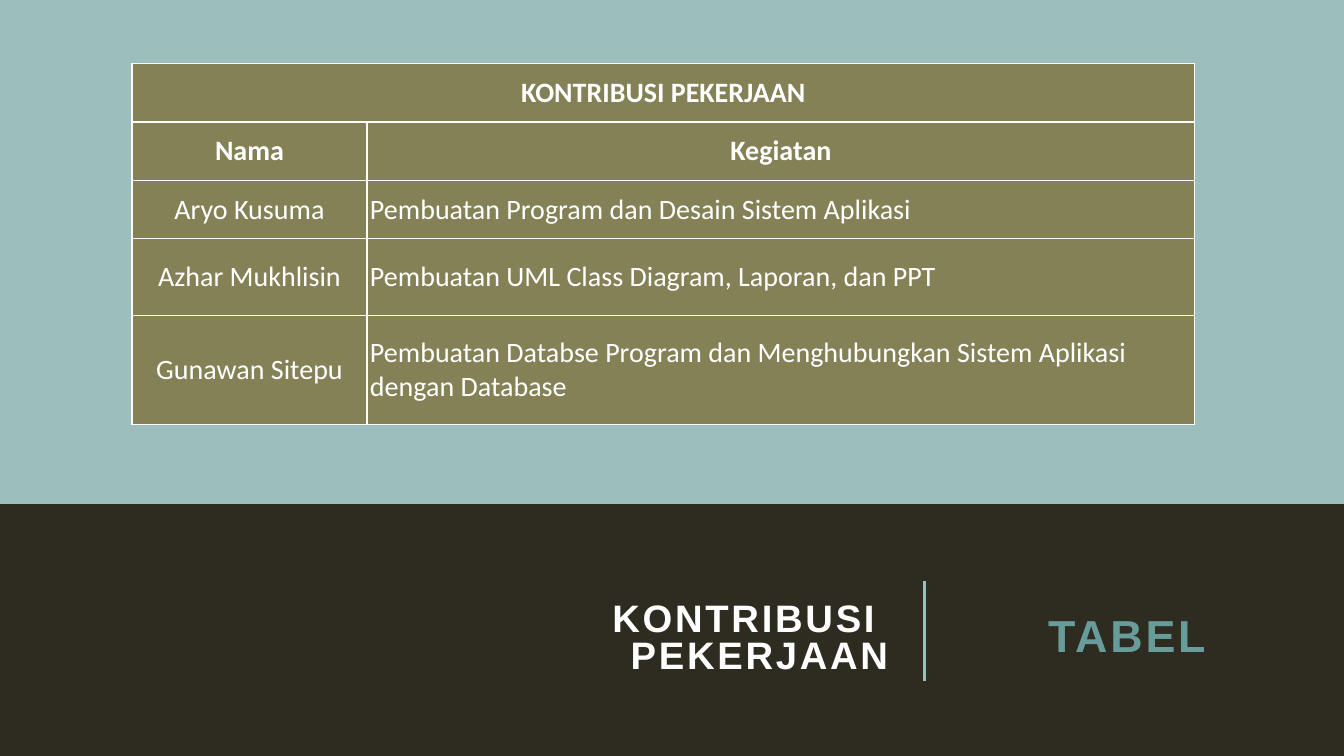
"""Build the slide with the table of work contributions."""
from lxml import etree
from pptx import Presentation
from pptx.dml import color
from pptx.enum import shapes, text
from pptx.oxml import ns
from pptx.util import Inches, Pt

TEAL, DARK, OLIVE, WHITE, DEEP_TEAL = "9CBEBD", "2E2B21", "858157", "FFFFFF", "689C9A"
COLUMN_WIDTHS = [2.33, 8.21]
ROW_HEIGHTS = [0.58, 0.58, 0.58, 0.76, 1.08]
HEADER_ROWS = 2
CONTRIBUTIONS = [
    ["KONTRIBUSI PEKERJAAN", ""],
    ["Nama", "Kegiatan"],
    ["Aryo Kusuma", "Pembuatan Program dan Desain Sistem Aplikasi"],
    ["Azhar Mukhlisin", "Pembuatan UML Class Diagram, Laporan, dan PPT"],
    ["Gunawan Sitepu",
     "Pembuatan Databse Program dan Menghubungkan Sistem Aplikasi dengan Database"],
]


def rgb(value):
    """Return the colour for a hex string."""
    return color.RGBColor.from_string(value)


def paint(fill, value):
    """Make a fill solid in the given colour."""
    fill.solid()
    fill.fore_color.rgb = rgb(value)


def apply(target, formats):
    """Set each format value as an attribute of the target."""
    for name, value in formats.items():
        setattr(target, name, value)


def write(paragraph, wording, hex_color, alignment, formats):
    """Write one formatted run into a paragraph and return the run."""
    paragraph.alignment = alignment
    run = paragraph.add_run()
    run.text = wording
    apply(run.font, formats)
    run.font.color.rgb = rgb(hex_color)
    return run


def add_band(slide):
    """Add the teal band behind the table."""
    band = slide.shapes.add_shape(
        shapes.MSO_SHAPE.RECTANGLE, 0, 0, Inches(13.33), Inches(5))
    band.shadow.inherit = False
    paint(band.fill, TEAL)
    band.line.fill.background()


def add_divider(slide):
    """Add the upright line between the two titles."""
    x = Inches(9.17)
    divider = slide.shapes.add_connector(
        shapes.MSO_CONNECTOR.STRAIGHT, x, Inches(6.76), x, Inches(5.76))
    divider.line.color.rgb = rgb(TEAL)
    divider.line.width = Pt(1.5)
    etree.SubElement(divider._element.spPr, ns.qn("a:effectLst"))


def add_title(slide, box, lines, size, hex_color, bottom=0.05):
    """Add a right-aligned, letter-spaced title."""
    frame = slide.shapes.add_textbox(*map(Inches, box)).text_frame
    apply(frame, {"word_wrap": True, "vertical_anchor": text.MSO_ANCHOR.MIDDLE,
                  "margin_bottom": Inches(bottom)})
    formats = {"name": "Arial", "size": Pt(size), "bold": True}
    for index, line in enumerate(lines):
        paragraph = frame.add_paragraph() if index else frame.paragraphs[0]
        paragraph.line_spacing = 0.8
        run = write(paragraph, line, hex_color, text.PP_ALIGN.RIGHT, formats)
        run._r.get_or_add_rPr().set("spc", "200")


def add_borders(cell):
    """Draw a thin white border on every side of a cell."""
    properties = cell._tc.get_or_add_tcPr()
    for side in ("lnL", "lnR", "lnT", "lnB"):
        line = etree.SubElement(properties, ns.qn(f"a:{side}"), w=str(Pt(1)))
        fill = etree.SubElement(line, ns.qn("a:solidFill"))
        etree.SubElement(fill, ns.qn("a:srgbClr"), val=WHITE)


def format_cell(cell, wording, is_header, is_centred):
    """Fill, border and label one table cell."""
    add_borders(cell)
    paint(cell.fill, OLIVE)
    apply(cell, {"vertical_anchor": text.MSO_ANCHOR.MIDDLE,
                 "margin_left": Inches(0.03), "margin_right": Inches(0.03),
                 "margin_top": Inches(0.02), "margin_bottom": Inches(0.02)})
    if wording:
        alignment = text.PP_ALIGN.CENTER if is_centred else text.PP_ALIGN.LEFT
        write(cell.text_frame.paragraphs[0], wording, WHITE, alignment,
              {"name": "Calibri", "size": Pt(20), "bold": is_header})


def add_contribution_table(slide):
    """Add the table of names and activities."""
    table = slide.shapes.add_table(
        len(ROW_HEIGHTS), len(COLUMN_WIDTHS), Inches(1.31), Inches(0.63),
        Inches(sum(COLUMN_WIDTHS)), Inches(sum(ROW_HEIGHTS))).table
    for column, width in zip(table.columns, COLUMN_WIDTHS):
        column.width = Inches(width)
    for row, height in zip(table.rows, ROW_HEIGHTS):
        row.height = Inches(height)
    for row_index, entries in enumerate(CONTRIBUTIONS):
        is_header = row_index < HEADER_ROWS
        for column_index, wording in enumerate(entries):
            format_cell(table.cell(row_index, column_index), wording,
                        is_header, is_header or column_index == 0)
    table.cell(0, 0).merge(table.cell(0, 1))


def main():
    """Build and save the presentation."""
    presentation = Presentation()
    apply(presentation, {"slide_width": Inches(13.33), "slide_height": Inches(7.5)})
    slide = presentation.slides.add_slide(presentation.slide_layouts[6])
    paint(slide.background.fill, DARK)
    add_band(slide)
    add_divider(slide)
    add_title(slide, (7.11, 6.03, 5.09, 1.09), ["TABEL "], 32, DEEP_TEAL, bottom=0.5)
    add_title(slide, (2.73, 5.49, 6.18, 1.72), ["KONTRIBUSI ", "PEKERJAAN"], 27.3, WHITE)
    add_contribution_table(slide)
    presentation.save("out.pptx")


if __name__ == "__main__":
    main()
